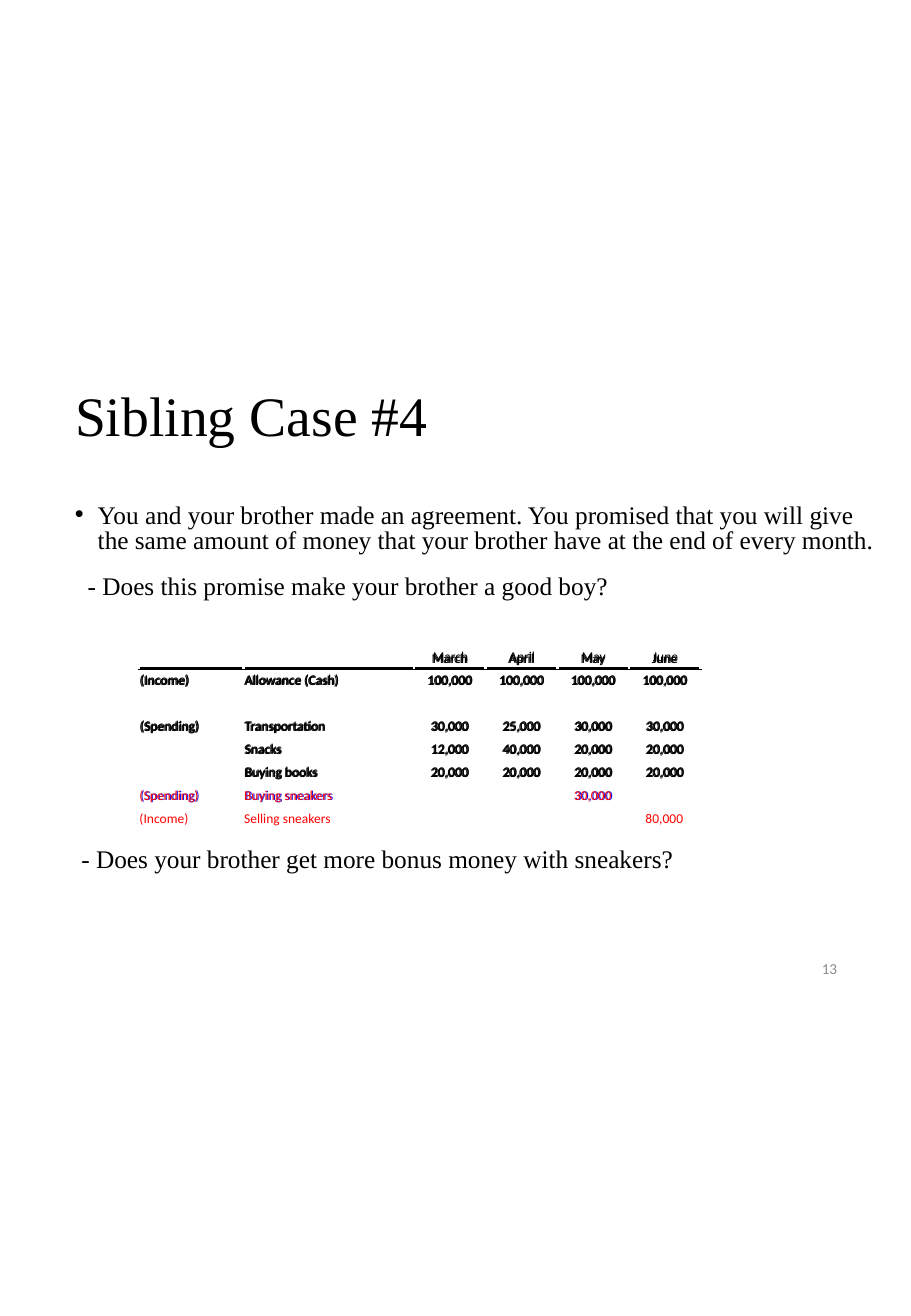
import pptx
import pptx.util
import pptx.dml.color
import pptx.enum.text
import pptx.oxml
import pptx.oxml.ns

Pt = pptx.util.Pt
Color = pptx.dml.color.RGBColor
Align = pptx.enum.text.PP_ALIGN
Anchor = pptx.enum.text.MSO_ANCHOR

BLACK = Color(0, 0, 0)
WHITE = Color(255, 255, 255)
GRAY = Color(0x8C, 0x8C, 0x8C)
BLUE = Color(0x16, 0x1B, 0xF2)
RED = Color(255, 0, 0)
SERIF = "Times New Roman"
SANS = "Calibri"

TITLE = "Sibling Case #4"
NUMBER = "13"
POINTS = [
    ("You and your brother made an agreement. You promised that you will give "
     "the same amount of money that your brother have at the end of every month.",
     13.5, -13.5, 0),
    ("- Does this promise make your brother a good boy?", 7.5, 0, 7.5),
    ("- Does your brother get more bonus money with sneakers?", 3.75, 0, 142.5),
]
ROWS = [
    ("", "", "March", "April", "May", "June"),
    ("(Income)", "Allowance (Cash)", "100,000", "100,000", "100,000", "100,000"),
    ("", "", "", "", "", ""),
    ("(Spending)", "Transportation", "30,000", "25,000", "30,000", "30,000"),
    ("", "Snacks", "12,000", "40,000", "20,000", "20,000"),
    ("", "Buying books", "20,000", "20,000", "20,000", "20,000"),
    ("(Spending)", "Buying sneakers", "", "", "30,000", ""),
    ("(Income)", "Selling sneakers", "", "", "", "80,000"),
]
PLAIN = 6
WIDTHS = [62, 101] + [42.5] * 4
HIGH = 13.6
LAYERS = [(82.8, 382.3, 6, BLACK), (82.8, 383, 7, BLUE), (82.1, 383, 8, RED)]


def write(para, text, size, font, color):
    run = para.add_run()
    run.text = text
    run.font.size = Pt(size)
    run.font.name = font
    run.font.color.rgb = color


def add_box(slide, left, top, width, height, anchor):
    box = slide.shapes.add_textbox(Pt(left), Pt(top), Pt(width), Pt(height))
    frame = box.text_frame
    frame.word_wrap = True
    frame.vertical_anchor = anchor
    return frame


def add_edge(cell, side, color):
    cell._tc.get_or_add_tcPr().append(pptx.oxml.parse_xml(
        f'<a:{side} {pptx.oxml.ns.nsdecls("a")} w="12700"><a:solidFill>'
        f'<a:srgbClr val="{color}"/></a:solidFill></a:{side}>'))


def fill_cell(cell, text, row, col, color):
    cell.margin_left = cell.margin_right = cell.margin_top = Pt(0.6)
    cell.margin_bottom = 0
    cell.vertical_anchor = Anchor.MIDDLE
    for side in ("lnL", "lnR", "lnT", "lnB"):
        rule = (row, side) in ((0, "lnB"), (1, "lnT"))
        add_edge(cell, side, BLACK if rule else WHITE)
    cell.fill.background()
    para = cell.text_frame.paragraphs[0]
    para.alignment = Align.CENTER if col > 1 else Align.LEFT
    if text:
        write(para, text, 8, SANS, color)
    else:
        para._p.append(pptx.oxml.parse_xml(
            f'<a:endParaRPr {pptx.oxml.ns.nsdecls("a")} sz="800"/>'))


def add_layer(slide, left, top, shown, accent):
    table = slide.shapes.add_table(
        len(ROWS), len(WIDTHS), Pt(left), Pt(top),
        Pt(sum(WIDTHS)), Pt(HIGH * len(ROWS))).table
    table.first_row = table.horz_banding = False
    for column, width in zip(table.columns, WIDTHS):
        column.width = Pt(width)
    for r, values in enumerate(ROWS):
        table.rows[r].height = Pt(HIGH)
        color = accent if r >= PLAIN else BLACK
        for c, value in enumerate(values):
            fill_cell(table.cell(r, c), value if r < shown else "", r, c, color)


def add_points(slide):
    frame = add_box(slide, 37.4, 295.2, 496.8, 257, Anchor.TOP)
    for i, (text, left, indent, before) in enumerate(POINTS):
        para = frame.add_paragraph() if i else frame.paragraphs[0]
        props = para._p.get_or_add_pPr()
        props.set("marL", str(Pt(left)))
        props.set("indent", str(Pt(indent)))
        if indent:
            for tag in ('buFont {} typeface="Arial"', 'buChar {} char="•"'):
                props.append(pptx.oxml.parse_xml(
                    "<a:" + tag.format(pptx.oxml.ns.nsdecls("a")) + "/>"))
        para.line_spacing = Pt(15)
        if before:
            para.space_before = Pt(before)
        para.space_after = Pt(4.5)
        write(para, text, 15, SERIF, BLACK)


def main():
    deck = pptx.Presentation()
    deck.slide_width, deck.slide_height = Pt(540), Pt(779.76)
    slide = deck.slides.add_slide(deck.slide_layouts[6])

    title = add_box(slide, 37.4, 208.8, 478.8, 78.5, Anchor.MIDDLE).paragraphs[0]
    title.line_spacing = 0.9
    write(title, TITLE, 33, SERIF, BLACK)
    add_points(slide)
    number = add_box(slide, 381.6, 563, 121.7, 21.6, Anchor.MIDDLE).paragraphs[0]
    number.alignment = Align.RIGHT
    write(number, NUMBER, 9, SANS, GRAY)
    for layer in LAYERS:
        add_layer(slide, *layer)
    deck.save("out.pptx")


if __name__ == "__main__":
    main()
